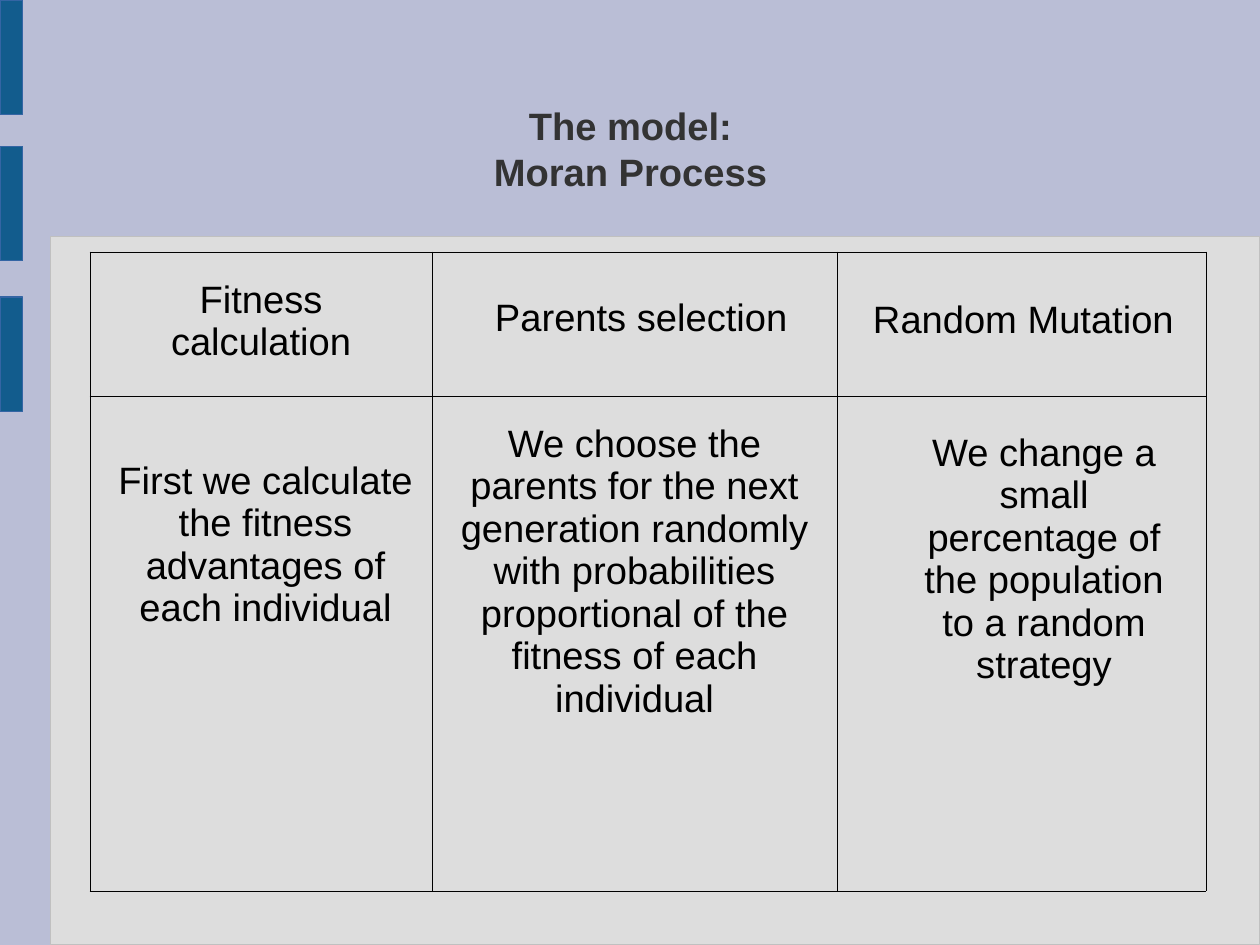
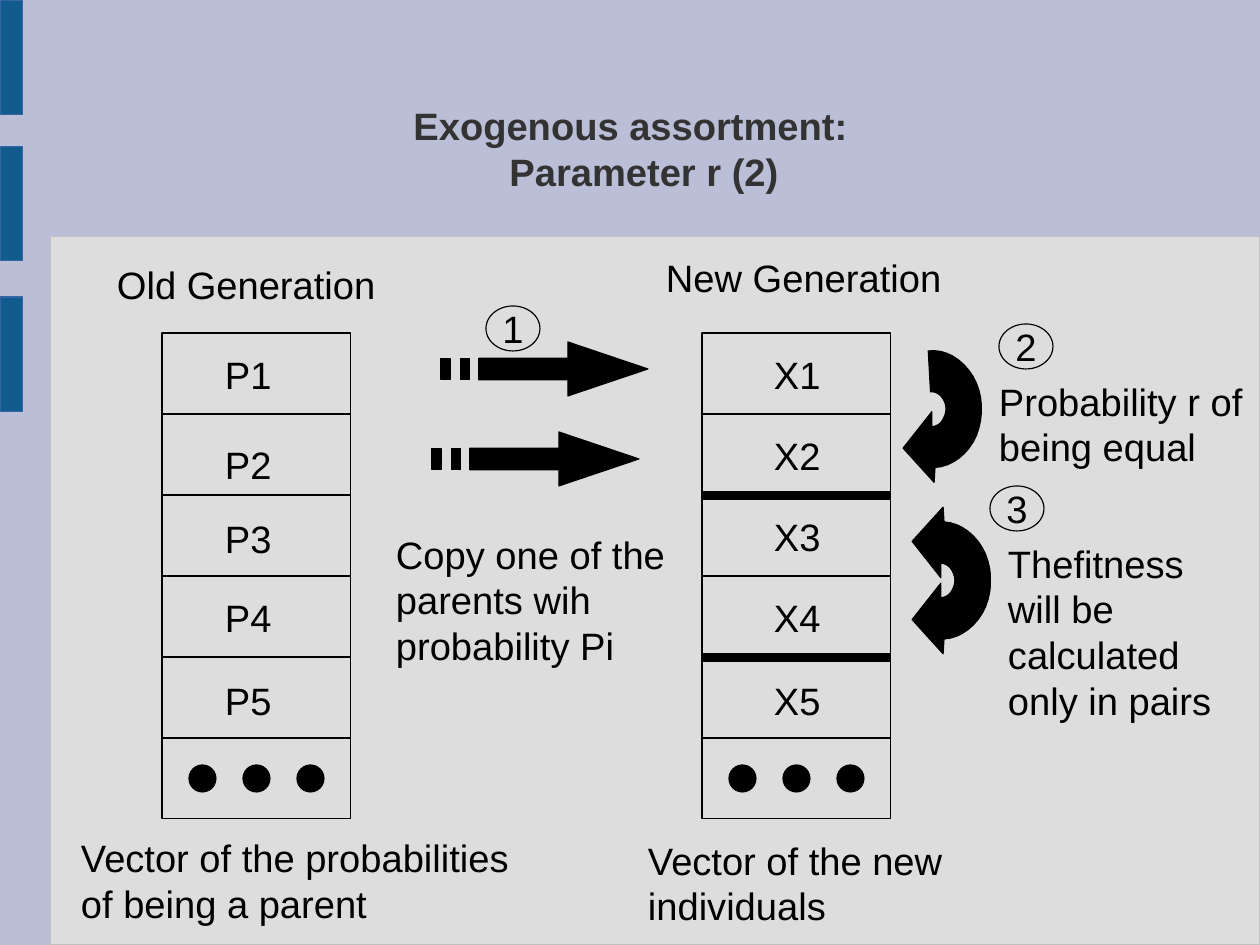
import pptx
import pptx.util
import pptx.dml.color
import pptx.enum.shapes
import pptx.enum.text
import pptx.oxml.ns
from lxml import etree

RGB = pptx.dml.color.RGBColor
SKY = RGB(0xBA, 0xBE, 0xD6)
PALE = RGB(0xDD, 0xDD, 0xDD)
EDGE = RGB(0xC0, 0xC0, 0xC0)
BLUE = RGB(0x12, 0x5C, 0x8D)
RIM = RGB(0x34, 0x65, 0xA4)
DARK = RGB(0x33, 0x33, 0x33)
BLACK = RGB(0, 0, 0)

COLS, ROWS = 28, 21
UNIT = pptx.util.Cm(1)
FONT, SIZE = "Arial", 24

ALIGN = pptx.enum.text.PP_ALIGN
ANCHOR = pptx.enum.text.MSO_ANCHOR
SHAPE = pptx.enum.shapes.MSO_SHAPE
qn = pptx.oxml.ns.qn

STRIPES = [
    [(2.82, 0), (4.6, 0.6), (2.82, 1.2), (2.82, 0.84), (0.84, 0.84), (0.84, 0.36), (2.82, 0.36)],
    [(0, 0.36), (0, 0.84), (0.2, 0.84), (0.2, 0.36)],
    [(0.43, 0.36), (0.43, 0.84), (0.64, 0.84), (0.64, 0.36)],
]
HOOK = [
    [(0.64, 1.68)],
    [(0.76, 1.68), (0.86, 1.6), (0.91, 1.47)],
    [(0.97, 1.35), (0.97, 1.19), (0.89, 1.07)],
    [(0.84, 0.97), (0.71, 0.89), (0.61, 0.91)],
    [(0.56, 0)],
    [(0.94, -0.05), (1.32, 0.18), (1.55, 0.56)],
    [(1.78, 0.94), (1.8, 1.45), (1.63, 1.88)],
    [(1.45, 2.29), (1.09, 2.57), (0.71, 2.59)],
    [(0.69, 2.92)],
    [(0, 2.16)],
    [(0.64, 1.35)],
]


def grid(*cells):
    return [pptx.util.Emu(round(n * UNIT)) for n in cells]


def trace(parts, steps=8):
    dots = []
    for part in parts:
        if len(part) == 1:
            dots += part
            continue
        a, (b, c, d) = dots[-1], part
        for i in range(1, steps + 1):
            t = i / steps
            u = 1 - t
            dots.append(tuple(
                u**3 * a[k] + 3 * u * u * t * b[k] + 3 * u * t * t * c[k] + t**3 * d[k]
                for k in (0, 1)))
    return dots


class Deck:
    def __init__(self):
        self.file = pptx.Presentation()
        self.file.slide_width, self.file.slide_height = grid(COLS, ROWS)
        self.slide = None
        back = self.file.slide_master.background.fill
        back.solid()
        back.fore_color.rgb = SKY

    def start(self, lines, shift=None):
        first = self.slide is None
        self.slide = self.file.slides.add_slide(self.file.slide_layouts[5])
        if first:
            self.base()
        title = self.slide.shapes.title
        title.left, title.top, title.width, title.height = grid(2.06, 1.55, 23.9, 3.5)
        self.label(title.text_frame, lines, ALIGN.CENTER, ANCHOR.MIDDLE, DARK, True)
        if shift:
            left, hang = grid(*shift)
            prop = title.text_frame.paragraphs[0]._p.get_or_add_pPr()
            prop.set("marL", str(left))
            prop.set("indent", str(hang))

    def base(self):
        parts = [self.shape(SHAPE.RECTANGLE, (1.12, 5.26, 26.88, 15.74), PALE, EDGE)]
        for top in (0, 3.25, 6.6):
            parts.append(self.shape(SHAPE.RECTANGLE, (0, top, 0.51, 2.55), BLUE, RIM))
        for code, part in enumerate(parts, 100):
            part.element.nvSpPr.cNvPr.set("id", str(code))
            self.file.slide_master.shapes.element.append(part.element)

    def label(self, frame, lines, align=ALIGN.LEFT, anchor=ANCHOR.TOP,
              tint=BLACK, bold=False, pad=(0, 0, 0)):
        frame.word_wrap = True
        frame.auto_size = pptx.enum.text.MSO_AUTO_SIZE.NONE
        frame.vertical_anchor = anchor
        frame.margin_left, frame.margin_top, frame.margin_right = grid(*pad)
        frame.margin_bottom = 0
        self.runs(frame.paragraphs[0], lines, align, tint, bold)

    def runs(self, para, lines, align, tint=BLACK, bold=False):
        para.alignment = align
        for i, line in enumerate(lines):
            if i:
                para.add_line_break()
                etree.SubElement(para._p[-1], qn("a:rPr"), sz=str(SIZE * 100))
            run = para.add_run()
            run.text = line
            run.font.name = FONT
            run.font.size = pptx.util.Pt(SIZE)
            run.font.bold = bold
            run.font.color.rgb = tint

    def paint(self, shape, fill, line):
        shape.shadow.inherit = False
        if fill is None:
            shape.fill.background()
        else:
            shape.fill.solid()
            shape.fill.fore_color.rgb = fill
        shape.line.color.rgb = line
        shape.line.width = pptx.util.Pt(0)
        return shape

    def shape(self, kind, box, fill=None, line=BLACK):
        return self.paint(self.slide.shapes.add_shape(kind, *grid(*box)), fill, line)

    def text(self, words, *box):
        self.label(self.slide.shapes.add_textbox(*grid(*box)).text_frame, [words])

    def badge(self, mark, left, top):
        oval = self.shape(SHAPE.OVAL, (left, top, 1.2, 1))
        self.label(oval.text_frame, [mark], ALIGN.CENTER, ANCHOR.MIDDLE)
        oval.text_frame.word_wrap = False

    def rule(self, left, top, width):
        line = self.slide.shapes.add_connector(
            pptx.enum.shapes.MSO_CONNECTOR.STRAIGHT, *grid(left, top, left + width, top))
        line.line.color.rgb = BLACK
        line.line.width = pptx.util.Pt(5.67)
        etree.SubElement(line.element.spPr, qn("a:effectLst"))

    def free(self, left, top, loops):
        form = None
        for loop in loops:
            dots = [grid(left + x, top + y) for x, y in loop]
            if form is None:
                form = self.slide.shapes.build_freeform(*dots[0])
            else:
                form.move_to(*dots[0])
            form.add_line_segments(dots[1:], close=True)
        self.paint(form.convert_to_shape(), BLACK, BLACK)

    def stack(self, left, top, names, inset, drops):
        wide, high, dot = 4.2, 1.8, 0.6
        for i in range(len(names) + 1):
            box = self.shape(SHAPE.RECTANGLE, (left, top + i * high, wide, high))
            if i < len(names):
                self.label(box.text_frame, [names[i]], pad=(inset, drops[i], 0))
        for i in range(3):
            spot = (left + dot + 2 * dot * i, top + len(names) * high + dot, dot, dot)
            self.shape(SHAPE.OVAL, spot, BLACK)

    def table(self, left, top, wides, highs, rows):
        box = grid(left, top, sum(wides), sum(highs))
        table = self.slide.shapes.add_table(len(highs), len(wides), *box).table
        table.first_row = table.horz_banding = False
        for col, wide in zip(table.columns, grid(*wides)):
            col.width = wide
        for row, high in zip(table.rows, grid(*highs)):
            row.height = high
        for r, row in enumerate(rows):
            for c, (words, align, pad) in enumerate(row):
                self.cell(table.cell(r, c), words, align, pad)

    def cell(self, cell, words, align, pad):
        prop = cell._tc.get_or_add_tcPr()
        for side in ("a:lnL", "a:lnR", "a:lnT", "a:lnB"):
            line = etree.SubElement(prop, qn(side), w=str(pptx.util.Pt(0.5)))
            fill = etree.SubElement(line, qn("a:solidFill"))
            etree.SubElement(fill, qn("a:srgbClr"), val=str(BLACK))
        cell.fill.background()
        cell.vertical_anchor = ANCHOR.TOP
        cell.margin_left, cell.margin_top, cell.margin_right = grid(*pad)
        cell.margin_bottom = 0
        self.runs(cell.text_frame.paragraphs[0], [words], align)


def model(deck):
    deck.start(["The model:", "Moran Process"])
    mid, left = ALIGN.CENTER, ALIGN.LEFT
    deck.table(2, 5.6, (7.6, 9, 8.2), (3.2, 11), [
        [("Fitness calculation", mid, (1.4, 0.6, 1.4)),
         ("Parents selection", left, (1.4, 1, 0)),
         ("Random Mutation", left, (0.8, 1.05, 0))],
        [("First we calculate the fitness advantages of each individual",
          mid, (0.6, 1.42, 0.4)),
         ("We choose the parents for the next generation randomly with "
          "probabilities proportional of the fitness of each individual",
          mid, (0.6, 0.6, 0.6)),
         ("We change a small percentage of the population to a random strategy",
          mid, (1.8, 0.8, 0.8))],
    ])


def assort(deck):
    deck.start(["Exogenous assortment:", "Parameter r (2)"], (0.6, -1))
    deck.stack(3.6, 7.4, ["P1", "P2", "P3", "P4", "P5"], 1.4, (0.4, 0.6, 0.45, 0.4, 0.45))
    deck.stack(15.6, 7.4, ["X1", "X2", "X3", "X4", "X5"], 1.6, (0.4, 0.4, 0.4, 0.4, 0.45))
    for top in (11, 14.6):
        deck.rule(15.6, top, 4.2)
    for left, top in ((9.8, 7.6), (9.6, 9.6)):
        deck.free(left, top, STRIPES)
    hook = trace(HOOK)
    flip = [(x, 2.58 - y) for x, y in hook]
    for left, top, loop in ((20.07, 7.8, hook), (20.27, 11.61, hook), (20.27, 11.61, flip)):
        deck.free(left, top, [loop])
    for mark, left, top in (("1", 10.8, 6.8), ("2", 22.2, 7.2), ("3", 22, 10.8)):
        deck.badge(mark, left, top)
    deck.text("Old Generation", 2.6, 5.8, 6.4, 1)
    deck.text("New Generation", 14.8, 5.65, 6.6, 1)
    deck.text("Copy one of the parents wih probability Pi", 8.8, 11.8, 6.2, 3.2)
    deck.text("Probability r of being equal", 22.2, 8.4, 5.6, 2.8)
    deck.text("Thefitness will be calculated only in pairs", 22.4, 12, 5.2, 4)
    deck.text("Vector of the probabilities of being a parent", 1.8, 18.55, 10.2, 2.25)
    deck.text("Vector of the new individuals", 14.4, 18.6, 7, 2.25)


def main():
    deck = Deck()
    model(deck)
    assort(deck)
    deck.file.save("out.pptx")


if __name__ == "__main__":
    main()
